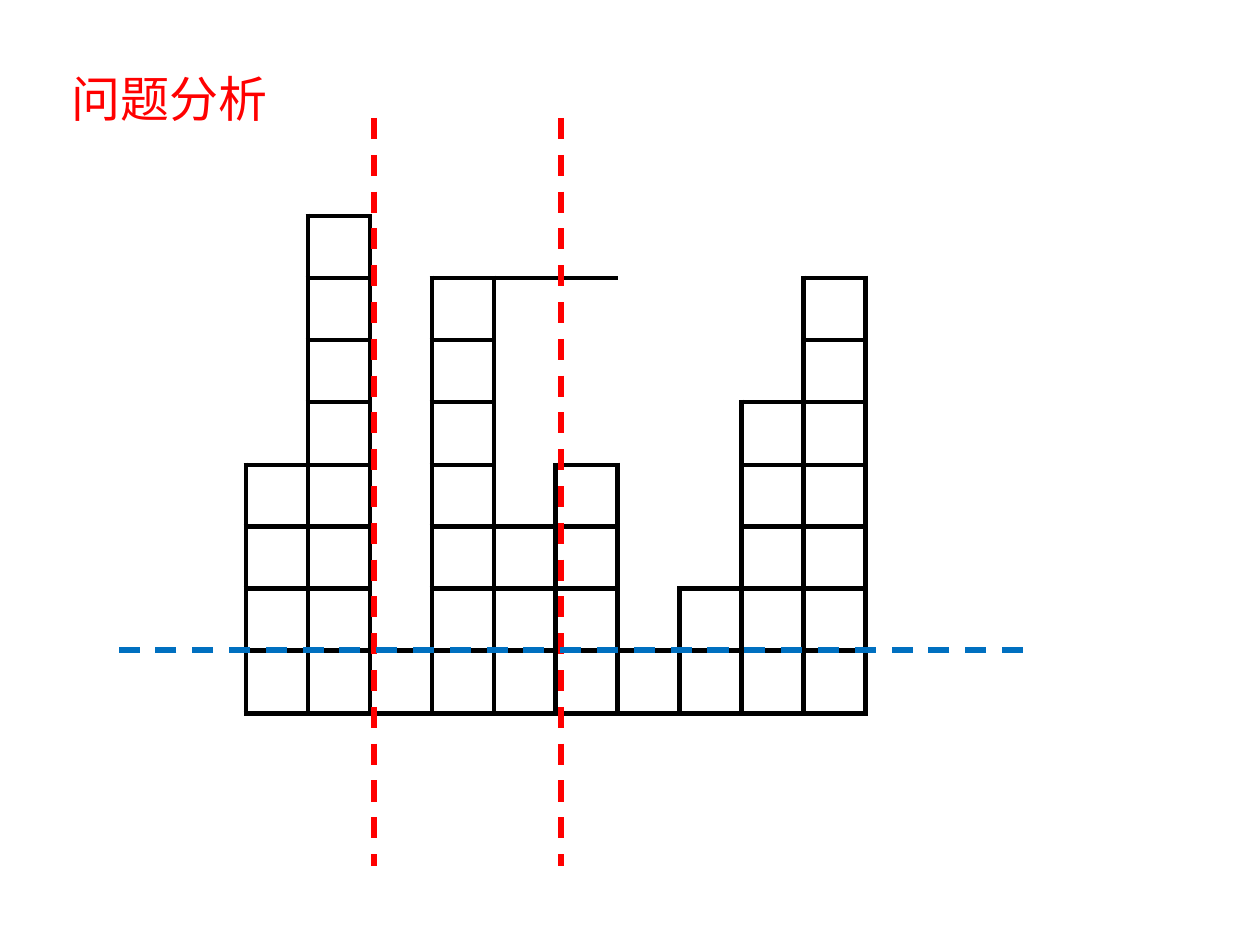
from dataclasses import dataclass

from lxml import etree
from pptx import Presentation
from pptx import util as u
from pptx.dml.color import RGBColor
from pptx.enum import dml, shapes, text
from pptx.oxml import parse_xml
from pptx.oxml.ns import nsdecls, qn

PX_PER_INCH = 126
NO_GRID_STYLE = "{2D5ABB26-0587-4C30-8999-92F81FD0307C}"
ALL_SIDES = ("L", "R", "T", "B")


@dataclass(frozen=True)
class Theme:
    accent: str = "FF0000"
    grid: str = "000000"
    level: str = "0070C0"
    font: str = "Calibri"
    title_size: int = 28
    line_width: int = 3


@dataclass(frozen=True)
class Guide:
    x1: int
    y1: int
    x2: int
    y2: int
    color: str


THEME = Theme()
COLUMN_HEIGHTS = (4, 8, 1, 7, 3, 4, 1, 2, 5, 7)
ROW_COUNT = max(COLUMN_HEIGHTS)
CAP_COLUMNS = range(3, 6)  # columns joined under one line in the top row
GRID_LEFT, GRID_TOP, GRID_WIDTH, GRID_HEIGHT = 246, 216, 620, 498
GUIDES = (
    Guide(374, 118, 374, 866, THEME.accent),
    Guide(561, 118, 561, 866, THEME.accent),
    Guide(1023, 650, 109, 650, THEME.level),
)


def px(length: int) -> u.Emu:
    return u.Emu(round(length * u.Inches(1) / PX_PER_INCH))


def split(total: int, count: int) -> list[int]:
    """Share a length among parts in whole pixels."""
    return [total * (i + 1) // count - total * i // count for i in range(count)]


def set_borders(cell, sides: tuple[str, ...]) -> None:
    properties = cell._tc.get_or_add_tcPr()
    lines = [
        parse_xml(
            f'<a:ln{side} {nsdecls("a")} w="{u.Pt(THEME.line_width)}">'
            f'<a:solidFill><a:srgbClr val="{THEME.grid}"/></a:solidFill></a:ln{side}>'
        )
        for side in ALL_SIDES if side in sides
    ]
    for position, line in enumerate(lines):
        properties.insert(position, line)


def add_title(page, wording: str) -> None:
    title = page.shapes.title
    title.left, title.top, title.width, title.height = map(px, (59, 39, 542, 118))
    frame = title.text_frame
    frame.text = wording
    frame.vertical_anchor = text.MSO_ANCHOR.MIDDLE
    para = frame.paragraphs[0]
    para.alignment = text.PP_ALIGN.LEFT
    para.font.name = THEME.font
    para.font.size = u.Pt(THEME.title_size)
    para.font.color.rgb = RGBColor.from_string(THEME.accent)


def add_bar_grid(page) -> None:
    frame = page.shapes.add_table(
        ROW_COUNT, len(COLUMN_HEIGHTS),
        *map(px, (GRID_LEFT, GRID_TOP, GRID_WIDTH, GRID_HEIGHT)),
    )
    table = frame.table
    table.first_row = table.horz_banding = False
    table._tbl.tblPr.find(qn("a:tableStyleId")).text = NO_GRID_STYLE
    for column, width in zip(table.columns, split(GRID_WIDTH, len(COLUMN_HEIGHTS))):
        column.width = px(width)
    for row, height in zip(table.rows, split(GRID_HEIGHT, ROW_COUNT)):
        row.height = px(height)
    for cell in table.iter_cells():
        cell.fill.background()

    # Line across the top of the middle columns
    cap = table.cell(0, CAP_COLUMNS[0])
    cap.merge(table.cell(0, CAP_COLUMNS[-1]))
    for column in CAP_COLUMNS:
        set_borders(table.cell(0, column), ("B",))

    # Open space above each bar, then the bar's unit squares
    for column, height in enumerate(COLUMN_HEIGHTS):
        first = 1 if column in CAP_COLUMNS else 0
        bar_top = ROW_COUNT - height
        if bar_top > first:
            space, last = table.cell(first, column), table.cell(bar_top - 1, column)
            if bar_top - first > 1:
                space.merge(last)
                set_borders(last, ("B",))
            set_borders(space, ("B",))
        for row in range(bar_top, ROW_COUNT):
            set_borders(table.cell(row, column), ALL_SIDES)


def add_guide(page, guide: Guide) -> None:
    line = page.shapes.add_connector(
        shapes.MSO_CONNECTOR.STRAIGHT,
        *map(px, (guide.x1, guide.y1, guide.x2, guide.y2)),
    )
    line.line.color.rgb = RGBColor.from_string(guide.color)
    line.line.width = u.Pt(THEME.line_width)
    line.line.dash_style = dml.MSO_LINE.DASH
    etree.SubElement(line._element.spPr, qn("a:effectLst"))


def main() -> None:
    deck = Presentation()
    deck.slide_width, deck.slide_height = u.Inches(10), u.Inches(7.5)
    page = deck.slides.add_slide(deck.slide_layouts.get_by_name("Title Only"))
    add_title(page, "问题分析")
    add_bar_grid(page)
    for guide in GUIDES:
        add_guide(page, guide)
    deck.save("out.pptx")


if __name__ == "__main__":
    main()
